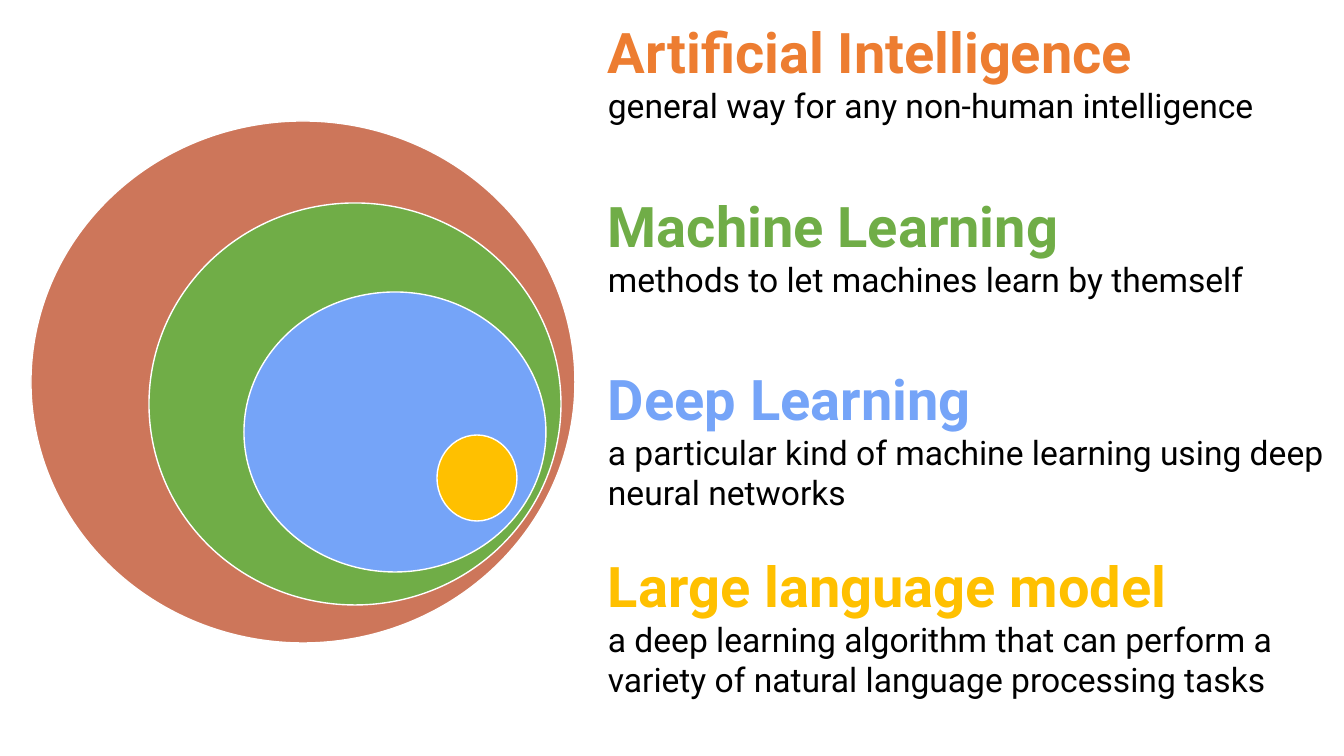
"""Build a slide of nested AI fields beside their definitions."""
import pptx
import pptx.dml.color
import pptx.enum.shapes
import pptx.enum.text
import pptx.util

SLIDE_SIZE = (1344, 756)
EMU_PER_PX = 12192000 / 1344
FONT = "Roboto"
TERM_SIZE, MEANING_SIZE = 40, 24
DEFINITIONS_BOX = (598, 13, 746, 743)

FIELDS = [
    {"term": "Artificial Intelligence", "color": "ED7D31", "gap": 0,
     "meaning": "general way for any non-human intelligence",
     "circle": (31, 121, 544, 522), "circle_color": "CD765A"},
    {"term": "Machine Learning", "color": "70AD47", "gap": 47,
     "meaning": "methods to let machines learn by themself",
     "circle": (149, 203, 412, 402), "circle_color": "70AD47"},
    {"term": "Deep Learning", "color": "75A4F8", "gap": 47,
     "meaning": "a particular kind of machine learning using deep neural networks",
     "circle": (244, 292, 302, 280), "circle_color": "75A4F8"},
    {"term": "Large language model", "color": "FFC000", "gap": 28,
     "meaning": "a deep learning algorithm that can perform a variety of natural language processing tasks",
     "circle": (437, 435, 80, 86), "circle_color": "FFC000"},
]


def emu(lengths):
    return [round(length * EMU_PER_PX) for length in lengths]


def rgb(color):
    return pptx.dml.color.RGBColor.from_string(color)


def add_circle(slide, bounds, color):
    circle = slide.shapes.add_shape(pptx.enum.shapes.MSO_SHAPE.OVAL, *emu(bounds))
    circle.shadow.inherit = False
    circle.fill.solid()
    circle.fill.fore_color.rgb = rgb(color)
    circle.line.color.rgb = rgb("FFFFFF")
    circle.line.width = pptx.util.Pt(1)


def write_line(paragraph, text, size, color, bold, gap=0):
    paragraph.text = text
    paragraph.space_before = pptx.util.Pt(gap)
    font = paragraph.runs[0].font
    font.name = FONT
    font.size = pptx.util.Pt(size)
    font.bold = bold
    font.color.rgb = rgb(color)


def main():
    deck = pptx.Presentation()
    deck.slide_width, deck.slide_height = emu(SLIDE_SIZE)
    slide = deck.slides.add_slide(deck.slide_layouts[6])

    definitions = slide.shapes.add_textbox(*emu(DEFINITIONS_BOX)).text_frame
    definitions.word_wrap = True
    definitions.auto_size = pptx.enum.text.MSO_AUTO_SIZE.SHAPE_TO_FIT_TEXT
    for index, field in enumerate(FIELDS):
        add_circle(slide, field["circle"], field["circle_color"])
        heading = definitions.add_paragraph() if index else definitions.paragraphs[0]
        write_line(heading, field["term"], TERM_SIZE, field["color"], True, field["gap"])
        write_line(definitions.add_paragraph(), field["meaning"], MEANING_SIZE, "000000", False)

    deck.save("out.pptx")


if __name__ == "__main__":
    main()
